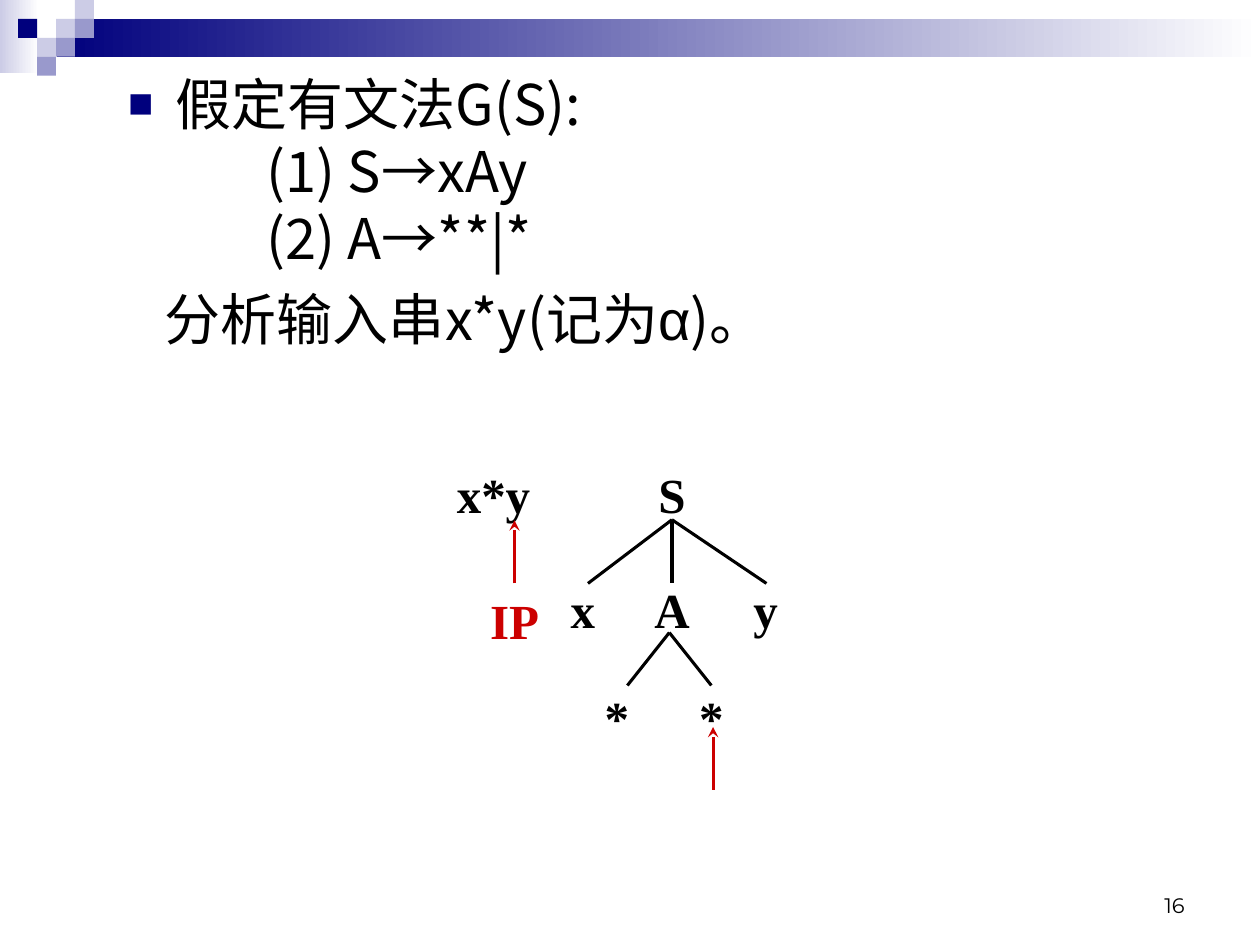
from dataclasses import dataclass

from lxml import etree
from pptx import Presentation
from pptx.dml.color import RGBColor
from pptx.enum import shapes, text
from pptx.oxml import ns
from pptx.util import Pt


@dataclass(frozen=True)
class Theme:
    ink: str = "000000"
    red: str = "CC0000"
    navy: str = "00007D"
    mid: str = "9999CC"
    pale: str = "CCCCE6"
    white: str = "FFFFFF"
    body_font: str = "Noto Sans CJK SC"
    greek_font: str = "Arial"
    tree_font: str = "Times New Roman"
    page_font: str = "Montserrat"
    body_size: int = 32
    tree_size: int = 28
    page_size: int = 12
    line: float = 1.75


T = Theme()


def rgb(value):
    return RGBColor.from_string(value)


def sub(parent, tag, **attrs):
    return etree.SubElement(parent, ns.qn(tag), attrs)


def apply(obj, values):
    for name, value in values.items():
        setattr(obj, name, value)


def add_run(p, words, name, size, color=T.ink, bold=False):
    r = p.add_run()
    r.text = words
    apply(r.font, {"name": name, "size": Pt(size), "bold": bold})
    r.font.color.rgb = rgb(color)
    sub(r.font._element, "a:ea", typeface=name)


def add_label(s, box, words, align, anchor, wrap, **font):
    sp = s.shapes.add_textbox(*map(Pt, box))
    tf = sp.text_frame
    apply(tf, {"word_wrap": wrap, "vertical_anchor": anchor})
    p = tf.paragraphs[0]
    p.alignment = align
    add_run(p, words, **font)
    return sp


def add_rect(s, box, *colors):
    sp = s.shapes.add_shape(shapes.MSO_SHAPE.RECTANGLE, *map(Pt, box))
    sp.shadow.inherit = False
    sp.line.fill.background()
    if len(colors) == 1:
        sp.fill.solid()
        sp.fill.fore_color.rgb = rgb(colors[0])
    else:
        sp.fill.gradient()
        sp.fill.gradient_angle = 0
        for stop, color in zip(sp.fill.gradient_stops, colors):
            stop.color.rgb = rgb(color)


def add_line(s, start, end, color=T.ink, arrow=False):
    c = s.shapes.add_connector(shapes.MSO_CONNECTOR.STRAIGHT, *map(Pt, start + end))
    c.line.width = Pt(T.line)
    c.line.color.rgb = rgb(color)
    if arrow:
        sub(c.line._get_or_add_ln(), "a:tailEnd", type="stealth")
    sub(c._element.spPr, "a:effectLst")
    return c


def banner(s, box):
    x, y, w, h = box
    cell = 10.8
    add_rect(s, (x, y, 22.3, h - 1.4), T.pale, T.white)
    add_rect(s, (x + 32.4, y + cell, w - 32.4, 2 * cell), T.navy, T.white)
    squares = [(2, 1, T.pale), (3, 0, T.pale), (3, 1, T.mid), (1, 2, T.pale),
               (0, 1, T.navy), (2, 2, T.mid), (1, 3, T.mid)]
    for col, row, color in squares:
        add_rect(s, (x + 10.4 + col * cell, y + row * cell, cell, cell), color)


def page_number(s, box):
    add_label(s, box, "16", text.PP_ALIGN.RIGHT, text.MSO_ANCHOR.BOTTOM, True,
              name=T.page_font, size=T.page_size)


def grammar(s, box):
    sp = s.placeholders[1]
    apply(sp, dict(zip(("left", "top", "width", "height"), map(Pt, box))))
    tf = sp.text_frame
    tf.auto_size = text.MSO_AUTO_SIZE.NONE
    lines = [
        (27, 0, True, ["假定有文法G(S):"]),
        (79, 0, False, ["(1) S→xAy"]),
        (79, 0, False, ["(2) A→**|*"]),
        (21, 8, False, ["分析输入串x*y(记为", "α", ")。"]),
    ]
    for i, (margin, before, bullet, parts) in enumerate(lines):
        p = tf.add_paragraph() if i else tf.paragraphs[0]
        apply(p, {"space_before": Pt(before), "line_spacing": 1.0})
        pPr = p._p.get_or_add_pPr()
        pPr.set("marL", str(Pt(margin)))
        pPr.set("indent", str(Pt(-27 if bullet else 0)))
        if bullet:
            sub(sub(pPr, "a:buClr"), "a:srgbClr", val=T.navy)
            sub(pPr, "a:buSzPct", val="75000")
            sub(pPr, "a:buChar", char="■")
        else:
            sub(pPr, "a:buNone")
        for part in parts:
            add_run(p, part, T.greek_font if part == "α" else T.body_font, T.body_size)


def parse_tree(s, box):
    x, y = box[:2]

    def at(dx, dy):
        return x + dx, y + dy

    def node(words, dx, dy, h=36, color=T.ink):
        return add_label(s, at(dx - 30, dy) + (60, h), words, text.PP_ALIGN.CENTER,
                         text.MSO_ANCHOR.MIDDLE, False, name=T.tree_font,
                         size=T.tree_size, color=color, bold=True)

    root = node("S", 132, 0, 30)
    node("x*y", 30, 0, 30)
    node("IP", 42, 69, color=T.red)
    for words, dx in (("x", 81), ("A", 132), ("y", 185.5)):
        node(words, dx, 63)
    node("*", 100.5, 124.7)
    star = node("*", 154.5, 124.7)

    for dx in (84, 132, 186):
        add_line(s, at(132, 30), at(dx, 66.4)).begin_connect(root, 2)
    add_line(s, at(130.5, 94.5), at(106.5, 124.7))
    add_line(s, at(130.5, 94.5), at(154.5, 124.7)).end_connect(star, 0)
    for dx, dy in ((42, 30.4), (155.5, 148.4)):
        add_line(s, at(dx, dy + 36), at(dx, dy), T.red, True)


def main():
    prs = Presentation()
    apply(prs, {"slide_width": Pt(720), "slide_height": Pt(540)})
    s = prs.slides.add_slide(prs.slide_layouts[1])
    title = s.shapes.title._element
    title.getparent().remove(title)
    banner(s, (0, 0, 720, 43.2))
    page_number(s, (516, 492, 168, 36))
    grammar(s, (66, 36, 618, 180))
    parse_tree(s, (252, 267, 216, 185))
    prs.save("out.pptx")


if __name__ == "__main__":
    main()
